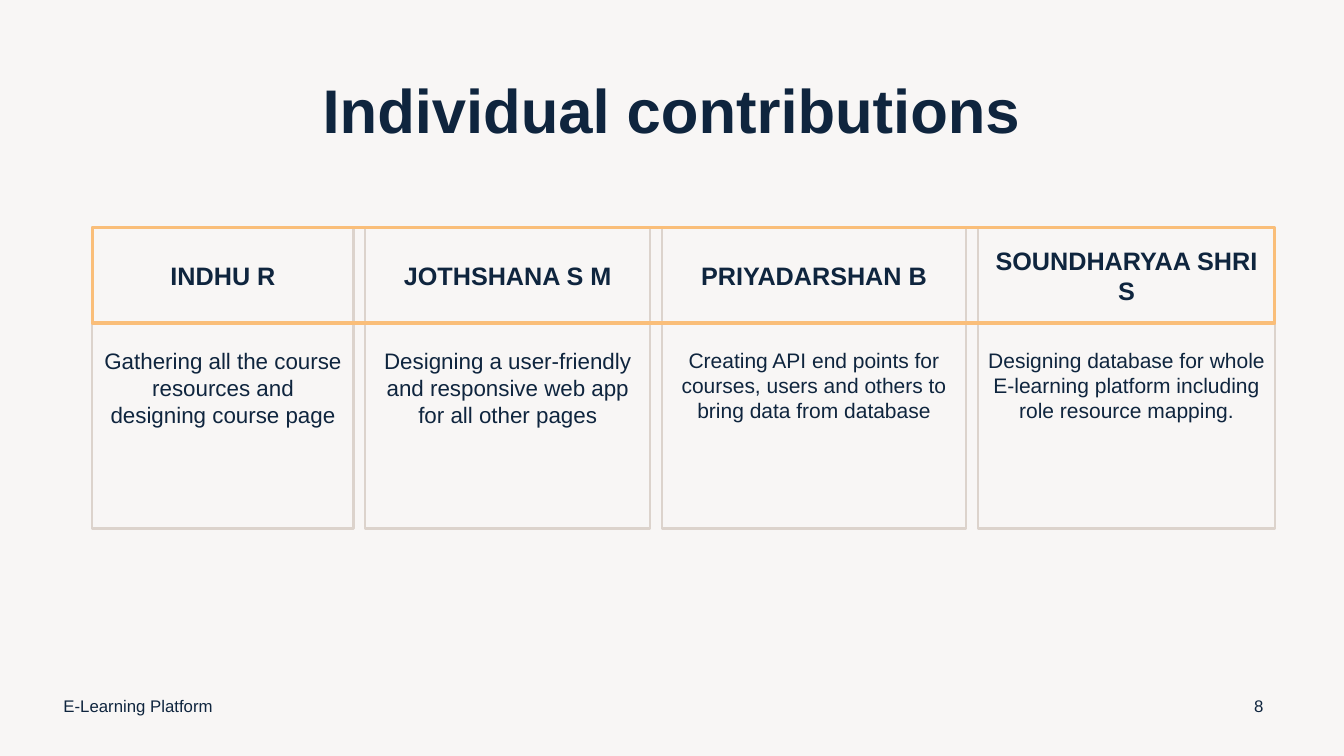
from pptx import Presentation
from pptx.dml.color import RGBColor
from pptx.enum import shapes, text
from pptx.util import Cm, Pt

NAVY = RGBColor(0x0F, 0x25, 0x3E)
SAND = RGBColor(0xDC, 0xD3, 0xCC)
GOLD = RGBColor(0xFA, 0xBE, 0x79)
PAPER = RGBColor(0xF8, 0xF6, 0xF5)
MID = text.MSO_ANCHOR.MIDDLE
LEFT = text.PP_ALIGN.LEFT
CENTER = text.PP_ALIGN.CENTER


def write(shape, words, size, bold=False, align=CENTER, anchor=MID):
    frame = shape.text_frame
    frame.text = words
    frame.word_wrap = True
    frame.auto_size = text.MSO_AUTO_SIZE.NONE
    frame.vertical_anchor = anchor
    para = frame.paragraphs[0]
    para.alignment = align
    font = para.font
    font.name = "Arial"
    font.size = Pt(size)
    font.bold = bold
    font.color.rgb = NAVY
    return para


def draw(left, top, width, height, color, weight):
    box = slide.shapes.add_shape(
        shapes.MSO_SHAPE.RECTANGLE, Cm(left), Cm(top), Cm(width), Cm(height))
    box.shadow.inherit = False
    box.fill.background()
    box.line.color.rgb = color
    box.line.width = Pt(weight)
    return box


deck = Presentation()
deck.slide_width = Cm(33.87)
deck.slide_height = Cm(19.05)
slide = deck.slides.add_slide(deck.slide_layouts[5])
slide.background.fill.solid()
slide.background.fill.fore_color.rgb = PAPER

title = slide.shapes.title
title.left, title.top, title.width, title.height = Cm(2.33), Cm(1.02), Cm(29.21), Cm(3.68)
write(title, "Individual contributions", 44, True).line_spacing = 0.9

cards = [
    ("INDHU R", 6.58, 16,
     "Gathering all the course resources and designing course page"),
    ("JOTHSHANA S M", 7.17, 16,
     "Designing a user-friendly and responsive web app for all other pages"),
    ("PRIYADARSHAN B", 7.67, 15,
     "Creating API end points for courses, users and others to bring data from database"),
    ("SOUNDHARYAA SHRI S", 7.48, 15,
     "Designing database for whole E-learning platform including role resource mapping."),
]
start, top, head, gap = 2.33, 5.73, 2.41, 0.3
left = start
for name, width, size, task in cards:
    box = draw(left, top, width, head, SAND, 1.5)
    write(box, name, 18, True).space_before = Pt(10)
    box = draw(left, top + head, width, 5.18, SAND, 1.5)
    write(box, task, size, anchor=text.MSO_ANCHOR.TOP)
    box.text_frame.margin_top = Cm(0.61)
    left += width + gap

draw(start, top, left - gap - start, head, GOLD, 2.25)

for words, left, width, align in [
    ("E-Learning Platform", 1.35, 11.43, LEFT),
    ("8", 31.09, 1.27, CENTER),
]:
    note = slide.shapes.add_textbox(Cm(left), Cm(17.27), Cm(width), Cm(1.02))
    write(note, words, 12, align=align)

deck.save("out.pptx")
